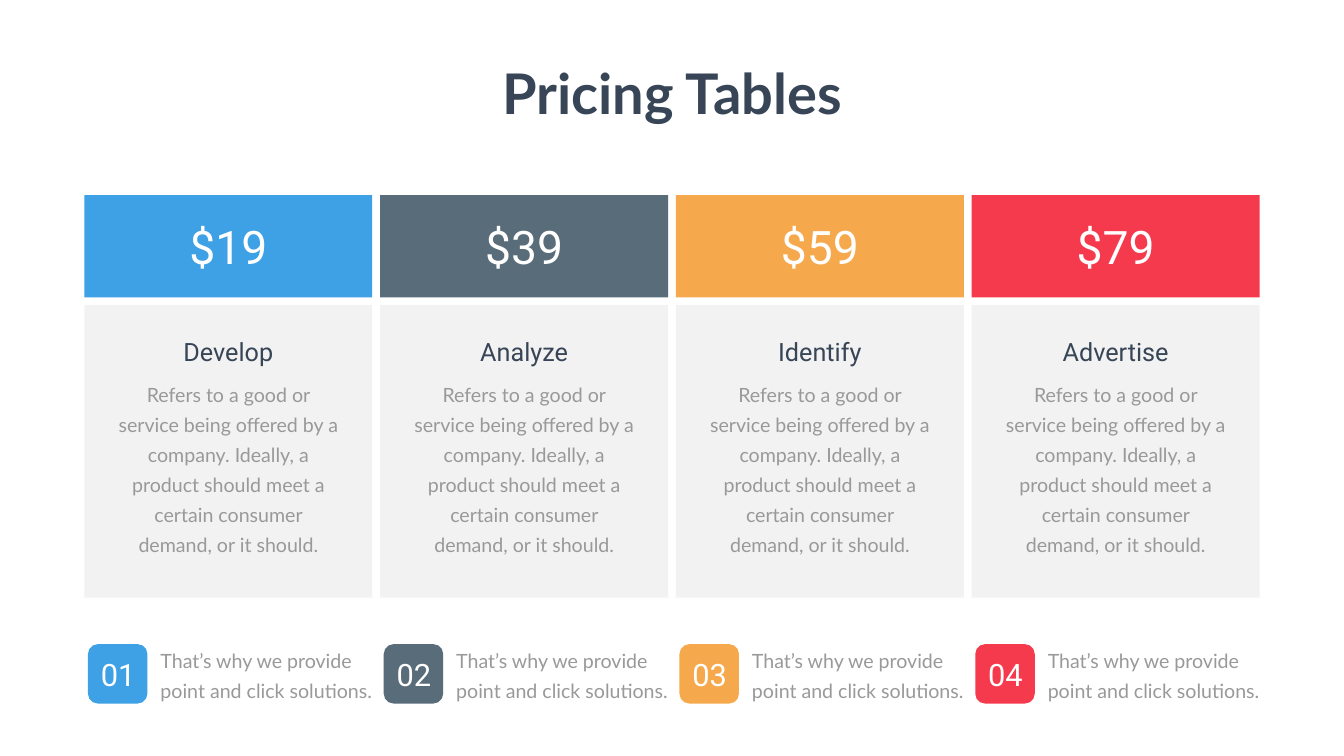
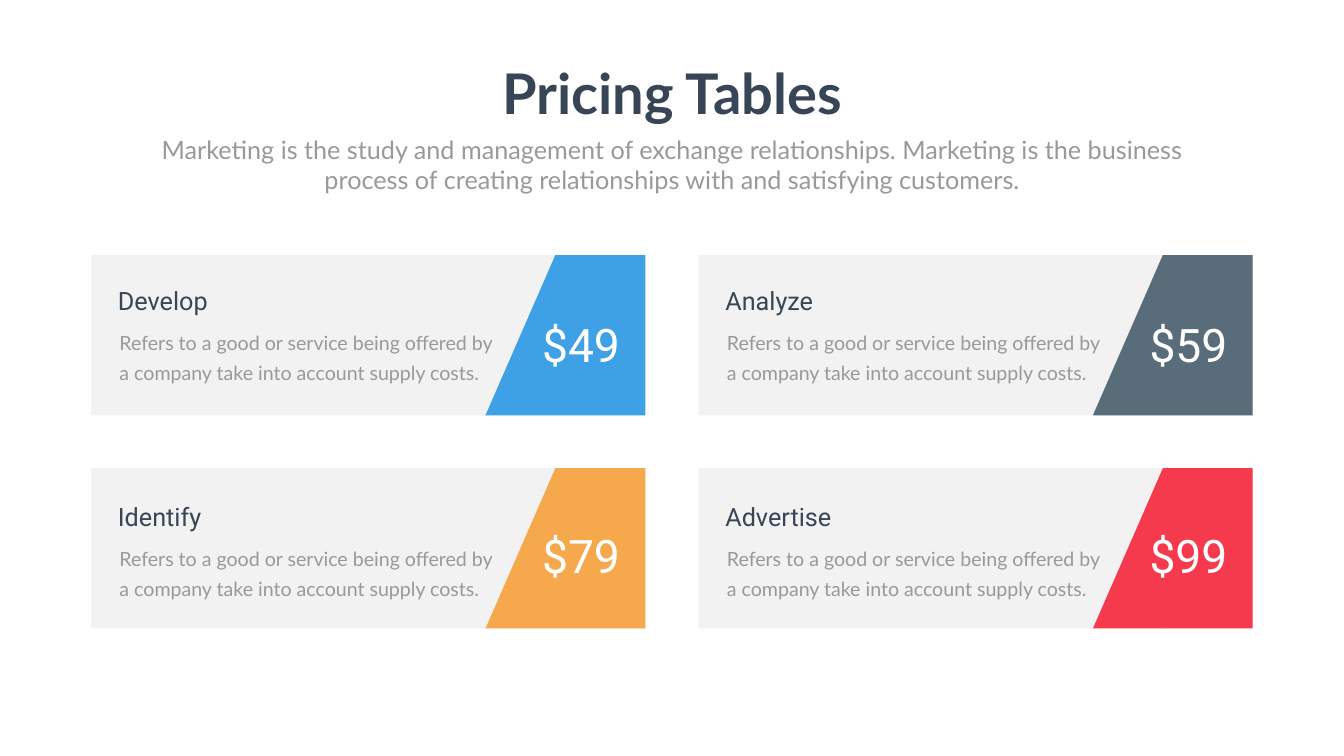
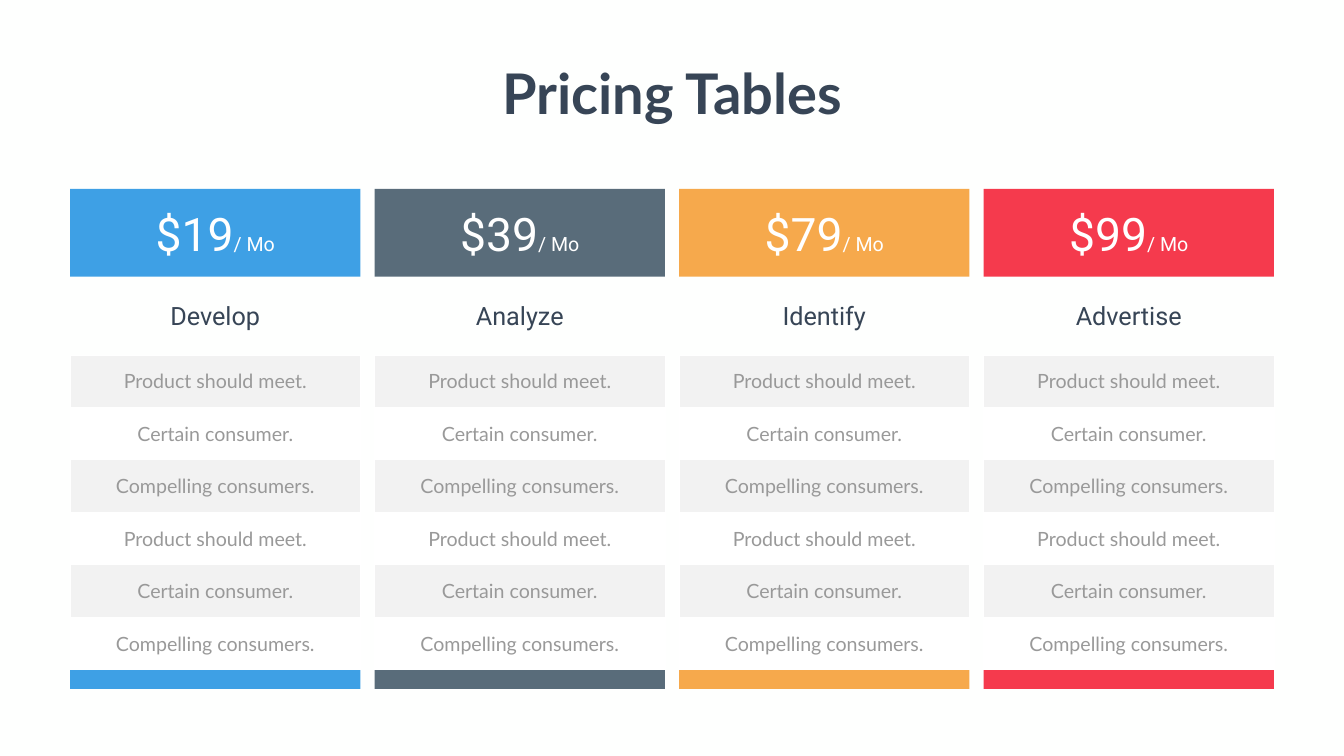
from pptx import Presentation
from pptx.dml.color import RGBColor
from pptx.enum.shapes import MSO_SHAPE as SHAPE
from pptx.enum.text import MSO_ANCHOR as ANCHOR, MSO_AUTO_SIZE as AUTO_SIZE, PP_ALIGN as ALIGN
from pptx.util import Inches, Pt

BLUE = RGBColor(0x3E, 0xA0, 0xE5)
SLATE = RGBColor(0x59, 0x6C, 0x7A)
ORANGE = RGBColor(0xF6, 0xA9, 0x4C)
RED = RGBColor(0xF5, 0x3A, 0x4D)
NAVY = RGBColor(0x37, 0x45, 0x56)
GREY = RGBColor(0x99, 0x99, 0x99)
PALE = RGBColor(0xF2, 0xF2, 0xF2)
WHITE = RGBColor(0xFF, 0xFF, 0xFF)
PAPER = RGBColor(0xFE, 0xFF, 0xFE)

WIDTH, HEIGHT = 26.66, 15
HEADING, BODY = "Roboto", "Lato"
HEADING_SIZE, BODY_SIZE, PRICE_SIZE = 36, 28, 66
BODY_LEADING = 43

# Plan name, width of its heading, accent colour
PLANS = [
    ("Develop", 2.03, BLUE),
    ("Analyze", 1.99, SLATE),
    ("Identify", 1.9, ORANGE),
    ("Advertise", 2.35, RED),
]


def add_block(slide, left, top, width, height, colour, preset=SHAPE.RECTANGLE):
    block = slide.shapes.add_shape(
        preset, Inches(left), Inches(top), Inches(width), Inches(height))
    block.shadow.inherit = False
    block.fill.solid()
    block.fill.fore_color.rgb = colour
    block.line.fill.background()
    return block


def add_text(slide, left, top, width, height, text, size, colour, font=HEADING,
             align=ALIGN.CENTER, wrap=True, leading=None, padded=False):
    """Add a one-paragraph text box and return its paragraph."""
    box = slide.shapes.add_textbox(
        Inches(left), Inches(top), Inches(width), Inches(height))
    frame = box.text_frame
    frame.word_wrap = wrap
    frame.auto_size = AUTO_SIZE.SHAPE_TO_FIT_TEXT
    if padded:
        frame.margin_left = frame.margin_right = Inches(0.24)
        frame.margin_top = frame.margin_bottom = Inches(0.12)
    paragraph = frame.paragraphs[0]
    paragraph.text = text
    paragraph.alignment = align
    if leading:
        paragraph.line_spacing = Pt(leading)
    run_font = paragraph.runs[0].font
    run_font.name, run_font.size = font, Pt(size)
    run_font.color.rgb = colour
    return paragraph


prs = Presentation()
prs.slide_width, prs.slide_height = Inches(WIDTH), Inches(HEIGHT)
prs.slide_master.background.fill.solid()
prs.slide_master.background.fill.fore_color.rgb = PAPER

slides = [prs.slides.add_slide(prs.slide_layouts[6]) for _ in range(3)]
for slide in slides:
    title = add_text(slide, (WIDTH - 7.23) / 2, 1.12, 7.23, 1.45, "Pricing Tables",
                     80, NAVY, BODY, wrap=False)
    title.runs[0].font.bold = True
columns_slide, cards_slide, features_slide = slides

# Slide 1: four priced columns with numbered notes below
COLUMN, GAP = 5.71, 0.157
margin = (WIDTH - 4 * COLUMN - 3 * GAP) / 2
for i, ((name, name_width, accent), price) in enumerate(
        zip(PLANS, ["$19", "$39", "$59", "$79"])):
    left = margin + i * (COLUMN + GAP)
    center = left + COLUMN / 2
    add_block(columns_slide, left, 6.05, COLUMN, 5.81, PALE)
    add_block(columns_slide, left, 3.87, COLUMN, 2.03, accent)
    add_text(columns_slide, center - 0.92, 4.29, 1.84, 1.21, price, PRICE_SIZE, WHITE)
    add_text(columns_slide, center - name_width / 2, 6.63, name_width, 0.71, name,
             HEADING_SIZE, NAVY, wrap=False)
    add_text(columns_slide, left + 0.43, 7.34, 4.85, 3.79,
             "Refers to a good or service being offered by a company. Ideally, a product "
             "should meet a certain consumer demand, or it should.",
             BODY_SIZE, GREY, BODY, leading=BODY_LEADING, padded=True)
    add_block(columns_slide, left + 0.07, 12.78, 1.18, 1.18, accent,
              SHAPE.ROUNDED_RECTANGLE)
    add_text(columns_slide, left, 12.96, 1.34, 0.84, f"{i + 1:02}", 44, WHITE)
    add_text(columns_slide, left + 1.41, 12.7, 4.57, 1.24,
             "That’s why we provide point and click solutions.",
             BODY_SIZE, GREY, BODY, ALIGN.LEFT, leading=BODY_LEADING)

# Slide 2: two by two cards with a slanted price tag
add_text(cards_slide, (WIDTH - 20.82) / 2, 2.61, 20.82, 1.31,
         "Marketing is the study and management of exchange relationships. Marketing is "
         "the business process of creating relationships with and satisfying customers.",
         HEADING_SIZE, GREY, BODY)
CARD_W, CARD_H = 10.99, 3.18
for i, ((name, _, accent), price) in enumerate(
        zip(PLANS, ["$49", "$59", "$79", "$99"])):
    row, column = divmod(i, 2)
    left, top = 1.81 + column * 12.05, 5.06 + row * 4.23
    text_top = 5.61 + row * 4.28
    add_block(cards_slide, left, top, CARD_W, CARD_H, PALE)
    slant = add_block(cards_slide, left + 7.82, top, 2.87, CARD_H, accent,
                      SHAPE.PARALLELOGRAM)
    slant.adjustments[0] = 0.483
    add_block(cards_slide, left + CARD_W - 1.69, top, 1.69, CARD_H, accent)
    add_text(cards_slide, left + 0.32, text_top + 0.71, 7.91, 1.38,
             "Refers to a good or service being offered by a company take into account "
             "supply costs.", BODY_SIZE, GREY, BODY, ALIGN.LEFT,
             leading=BODY_LEADING, padded=True)
    add_text(cards_slide, left + 0.43, text_top, 3.97, 0.71, name, HEADING_SIZE, NAVY,
             align=ALIGN.LEFT)
    add_text(cards_slide, left + 8.63, 6.22 + row * 4.2, 2.17, 1.21, price,
             PRICE_SIZE, WHITE)

# Slide 3: monthly prices over feature lists
FEATURES = ["Product should meet.", "Certain consumer.", "Compelling consumers."] * 2
LIST_W, LIST_TOP, LIST_H = 5.76, 7.04, 6.25
for i, ((name, name_width, accent), price) in enumerate(
        zip(PLANS, ["$19", "$39", "$79", "$99"])):
    left = 1.39 + i * 6.04
    center = left + LIST_W / 2
    add_block(features_slide, left, LIST_TOP + LIST_H, LIST_W, 0.38, accent)
    add_block(features_slide, left, 3.75, LIST_W, 1.74, accent)
    add_text(features_slide, center - name_width / 2, 5.91, name_width, 0.71, name,
             HEADING_SIZE, NAVY, wrap=False)
    price_line = add_text(features_slide, center - 1.68, 4.03, 3.36, 1.21, price,
                          PRICE_SIZE, WHITE)
    period = price_line.add_run()
    period.text = "/ Mo"
    period.font.name, period.font.size = HEADING, Pt(BODY_SIZE)
    period.font.color.rgb = WHITE

    feature_list = features_slide.shapes.add_table(
        len(FEATURES), 1, Inches(left), Inches(LIST_TOP),
        Inches(LIST_W), Inches(LIST_H)).table
    feature_list.horz_banding = False
    for row, feature in enumerate(FEATURES):
        cell = feature_list.cell(row, 0)
        cell.fill.solid()
        cell.fill.fore_color.rgb = WHITE if row % 2 else PALE
        cell.vertical_anchor = ANCHOR.MIDDLE
        paragraph = cell.text_frame.paragraphs[0]
        paragraph.text = feature
        paragraph.alignment = ALIGN.CENTER
        font = paragraph.runs[0].font
        font.name, font.size, font.bold = BODY, Pt(BODY_SIZE), False
        font.color.rgb = GREY

prs.save("out.pptx")
